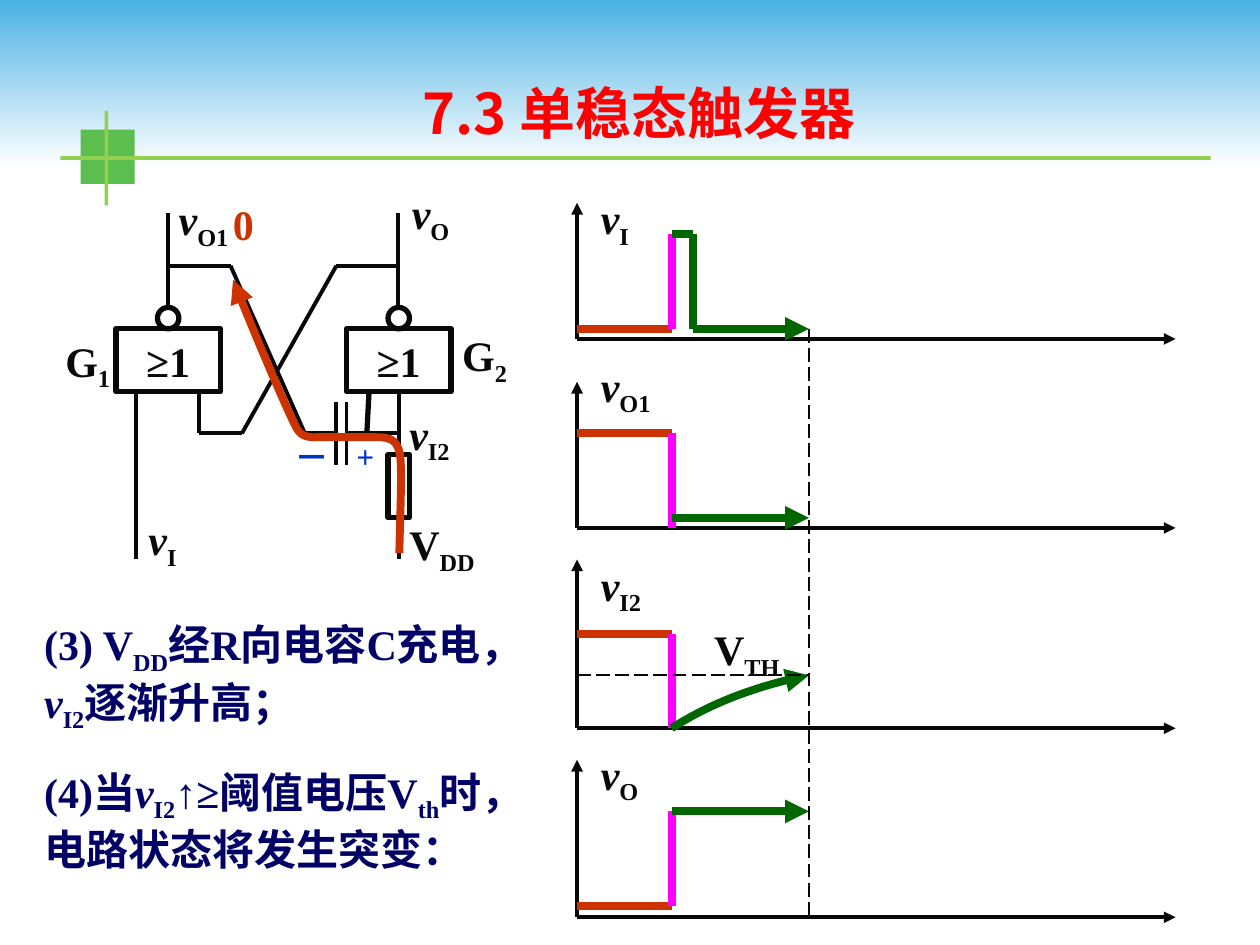
from dataclasses import dataclass
from itertools import pairwise

from lxml.etree import SubElement
from pptx import Presentation
from pptx.dml.color import RGBColor as Color
from pptx.enum.dml import MSO_LINE as Dash
from pptx.enum.shapes import MSO_CONNECTOR as Conn, MSO_SHAPE as Kind
from pptx.enum.text import MSO_ANCHOR as Anchor, MSO_AUTO_SIZE as Fit, PP_ALIGN as Align
from pptx.oxml.ns import qn
from pptx.util import Inches, Pt


@dataclass(frozen=True)
class Theme:
    ink: str = "080808"
    navy: str = "000066"
    blue: str = "0033CC"
    red: str = "FF0000"
    rust: str = "CC3300"
    pink: str = "FF00FF"
    green: str = "006600"
    sky: str = "4AB1E4"
    white: str = "FFFFFF"
    leaf: str = "5BBE4E"
    lime: str = "92D050"
    serif: str = "Times New Roman"
    sans: str = "Noto Sans CJK SC"
    head: int = 32
    body: int = 24
    minus: int = 20
    plus: int = 18
    thin: float = 1
    wire: float = 2.25
    edge: float = 3
    bold: float = 4.5


T = Theme()
IT, SUB = "italic", "sub"


def rgb(code):
    return Color.from_string(code)


# Text
def write(frame, runs, color, size=T.body, face=T.serif, align=Align.LEFT):
    para = frame.paragraphs[0]
    para.alignment = align
    for text, style in runs:
        run = para.add_run()
        run.text = text
        look = {"name": face, "size": Pt(size), "bold": True, "italic": style == IT}
        for key, val in look.items():
            setattr(run.font, key, val)
        run.font.color.rgb = rgb(color)
        props = run._r.get_or_add_rPr()
        SubElement(props, qn("a:ea")).set("typeface", T.sans)
        if style == SUB:
            props.set("baseline", "-25000")
    return para


def label(shapes, x, y, w, runs, color=T.ink, size=T.body, h=0.5):
    frame = shapes.add_textbox(*map(Inches, (x, y, w, h))).text_frame
    frame.word_wrap = False
    frame.auto_size = Fit.SHAPE_TO_FIT_TEXT
    write(frame, runs, color, size)


def fill_in(shapes, holder, box, runs, color, size, face, anchor):
    """Move a placeholder to the front, place it and write its text."""
    shapes._spTree.append(holder._element)
    for key, val in zip(("left", "top", "width", "height"), box):
        setattr(holder, key, Inches(val))
    frame = holder.text_frame
    look = {"word_wrap": True, "auto_size": Fit.NONE, "vertical_anchor": anchor}
    for key, val in look.items():
        setattr(frame, key, val)
    para = write(frame, runs, color, size, face)
    para.space_before = Pt(0)
    props = para._p.get_or_add_pPr()
    props.set("marL", "0")
    props.set("indent", "0")
    SubElement(props, qn("a:buNone"))


# Lines and shapes
def stroke(line, color, width, arrow=False, dash=None):
    line.color.rgb = rgb(color)
    line.width = Pt(width)
    if dash:
        line.dash_style = dash
    if arrow:
        SubElement(line._get_or_add_ln(), qn("a:tailEnd")).set("type", "triangle")


def chain(shapes, x, y, pts, color=T.ink, width=T.wire, arrow=False, dash=None):
    """Join points, offset from (x, y), by straight lines."""
    legs = list(pairwise(pts))
    for i, ((ax, ay), (bx, by)) in enumerate(legs, 1):
        line = shapes.add_connector(
            Conn.STRAIGHT, *map(Inches, (x + ax, y + ay, x + bx, y + by)))
        stroke(line.line, color, width, arrow and i == len(legs), dash)
        SubElement(line._element.spPr, qn("a:effectLst"))


def curve(shapes, x, y, pts, color):
    """Draw cubic curves: a start, then three points for each piece."""
    start, *rest = [(Inches(x + dx), Inches(y + dy)) for dx, dy in pts]
    pen = shapes.build_freeform(*start)
    pen.add_line_segments(rest, close=False)
    shape = pen.convert_to_shape()
    shape.shadow.inherit = False
    shape.fill.background()
    stroke(shape.line, color, T.bold, arrow=True)
    steps = list(shape._element.iter(qn("a:lnTo")))
    trail = steps[0].getparent()
    for i in range(0, len(steps), 3):
        piece = SubElement(trail, qn("a:cubicBezTo"))
        for step in steps[i:i + 3]:
            piece.append(step[0])
            trail.remove(step)


def block(shapes, kind, x, y, w, h, color=None):
    shape = shapes.add_shape(kind, *map(Inches, (x, y, w, h)))
    shape.shadow.inherit = False
    if color:
        shape.fill.solid()
        shape.fill.fore_color.rgb = rgb(color)
        shape.line.fill.background()
    else:
        shape.fill.background()
        stroke(shape.line, T.ink, T.edge)
    return shape


# Regions
def header(shapes, x, y, w, h):
    sky = block(shapes, Kind.RECTANGLE, x, y, w, h, T.sky)
    sky.fill.gradient()
    sky.fill.gradient_angle = 270
    for stop, color, pos in zip(sky.fill.gradient_stops, (T.sky, T.white), (0, 1)):
        stop.color.rgb = rgb(color)
        stop.position = pos
    for dx, dy, bw, bh, color in ((0.64, 1.03, 0.43, 0.43, T.leaf),
                                  (0.83, 0.88, 0.03, 0.75, T.lime),
                                  (0.48, 1.24, 9.13, 0.03, T.lime)):
        block(shapes, Kind.RECTANGLE, x + dx, y + dy, bw, bh, color)
    fill_in(shapes, shapes.title, (x + 3.25, y + 0.57, 4.1, 0.64),
            [("7.3 单稳态触发器", "")], T.red, T.head, T.sans, Anchor.MIDDLE)


def gate(shapes, x, y):
    box = block(shapes, Kind.RECTANGLE, x, y, 0.83, 0.5)
    box.text_frame.vertical_anchor = Anchor.MIDDLE
    write(box.text_frame, [("≥1", "")], T.ink, align=Align.CENTER)
    block(shapes, Kind.OVAL, x + 0.33, y - 0.17, 0.17, 0.17)
    chain(shapes, x, y, [(0.41, -0.17), (0.41, -0.92)])


def circuit(shapes, x, y):
    for dx in (0, 1.83):
        gate(shapes, x + dx, y + 0.92)
    block(shapes, Kind.RECTANGLE, x + 2.16, y + 1.92, 0.17, 0.5)
    for wire in (
        [(0.16, 1.42), (0.16, 2.75)],
        [(0.41, 0.42), (0.91, 0.42), (1.5, 1.75), (1.75, 1.75)],
        [(2.25, 0.42), (1.75, 0.42), (1, 1.75), (0.66, 1.75), (0.66, 1.42)],
        [(1.75, 1.5), (1.75, 2)],
        [(1.83, 1.5), (1.83, 2)],
        [(1.83, 1.75), (2.25, 1.75)],
        [(2.25, 1.42), (2.25, 1.92)],
        [(2.25, 2.42), (2.25, 2.75)],
    ):
        chain(shapes, x, y, wire)
    chain(shapes, x, y, [(2.01, 1.4), (1.99, 1.78)], width=T.edge)
    for dx, dy, w, name, sub, style in (
        (0.4, -0.2, 0.63, "v", "O1", IT), (2.25, -0.25, 0.52, "v", "O", IT),
        (2.65, 0.88, 0.57, "G", "2", ""), (-0.5, 0.92, 0.57, "G", "1", ""),
        (0.16, 2.34, 0.43, "v", "I", IT), (2.23, 2.38, 0.76, "V", "DD", ""),
        (2.23, 1.5, 0.54, "v", "I2", IT),
    ):
        label(shapes, x + dx, y + dy, w, [(name, style), (sub, SUB)])
    # Charging current and polarity
    label(shapes, x + 0.83, y - 0.16, 0.36, [("0", "")], T.rust)
    curve(shapes, x, y, [
        (2.25, 2.7), (2.25, 2.58), (2.27, 2.13), (2.26, 1.97),
        (2.25, 1.8), (2.18, 1.78), (2.07, 1.78), (1.95, 1.78), (1.63, 1.78),
        (1.59, 1.78), (1.56, 1.78), (1.47, 1.79), (1.43, 1.7),
        (1.38, 1.61), (1.12, 1.01), (0.93, 0.53)], T.rust)
    label(shapes, x + 1.81, y + 1.73, 0.34, [("+", "")], T.blue, T.plus, 0.4)
    label(shapes, x + 1.32, y + 1.72, 0.48, [("－", "")], T.blue, T.minus, 0.43)


def wave(shapes, x, base, high, sub, w, rise, old, new, trace):
    """Plot one signal; levels count up from the time axis."""
    for tip in ((0, -high), (4.75, 0)):
        chain(shapes, x, base, [(0, 0), tip], arrow=True)
    label(shapes, x + 0.09, base - rise, w, [("v", IT), (sub, SUB)])
    chain(shapes, x, base, [(0, -old), (0.75, -old)], T.rust, T.bold)
    chain(shapes, x, base, [(0.75, -old), (0.75, -new)], T.pink, T.bold)
    pts = [(dx, -level) for dx, level in trace]
    if sub == "I2":
        curve(shapes, x, base, pts, T.green)
    else:
        chain(shapes, x, base, pts, T.green, T.bold, arrow=True)


def waves(shapes, x, y):
    for row in (
        (1.08, 1.08, "I", 0.43, 1.21, 0.08, 0.83,
         [(0.75, 0.83), (0.92, 0.83), (0.92, 0.08), (1.84, 0.08)]),
        (2.58, 1.16, "O1", 0.63, 1.38, 0.75, 0, [(0.75, 0.08), (1.84, 0.08)]),
        (4.17, 1.34, "I2", 0.54, 1.39, 0.75, 0,
         [(0.75, 0), (1.03, 0.18), (1.46, 0.35), (1.84, 0.42)]),
        (5.67, 1.25, "O", 0.52, 1.39, 0.09, 0.84, [(0.75, 0.84), (1.84, 0.84)]),
    ):
        wave(shapes, x, y + row[0], *row[1:])
    # Threshold guides
    for guide in ([(1.84, 1), (1.84, 5.67)], [(0, 3.75), (1.84, 3.75)]):
        chain(shapes, x, y, guide, width=T.thin, dash=Dash.LONG_DASH)
    label(shapes, x + 0.99, y + 3.29, 0.76, [("V", ""), ("TH", SUB)])


def notes(shapes, holders, x, y):
    charge = [("(3) V", ""), ("DD", SUB), ("经R向电容C充电，", ""),
              ("v", IT), ("I2", SUB), ("逐渐升高；", "")]
    flip = [("(4)当", ""), ("v", IT), ("I2", SUB), ("↑≥阈值电压V", ""),
            ("th", SUB), ("时，电路状态将发生突变：", "")]
    for holder, dy, w, h, runs in zip(holders, (0, 1.17), (4.17, 3.83),
                                      (0.91, 1.3), (charge, flip)):
        fill_in(shapes, holder, (x, y + dy, w, h), runs,
                T.navy, T.body, T.serif, Anchor.TOP)


def main():
    deck = Presentation()
    deck.slide_width, deck.slide_height = Inches(10), Inches(7.5)
    slide = deck.slides.add_slide(deck.slide_layouts[3])
    shapes = slide.shapes
    bodies = list(slide.placeholders)[1:]
    header(shapes, 0, 0, 10, 1.33)
    circuit(shapes, 0.92, 1.69)
    waves(shapes, 4.58, 1.61)
    notes(shapes, bodies, 0.25, 4.86)
    deck.save("out.pptx")


if __name__ == "__main__":
    main()
